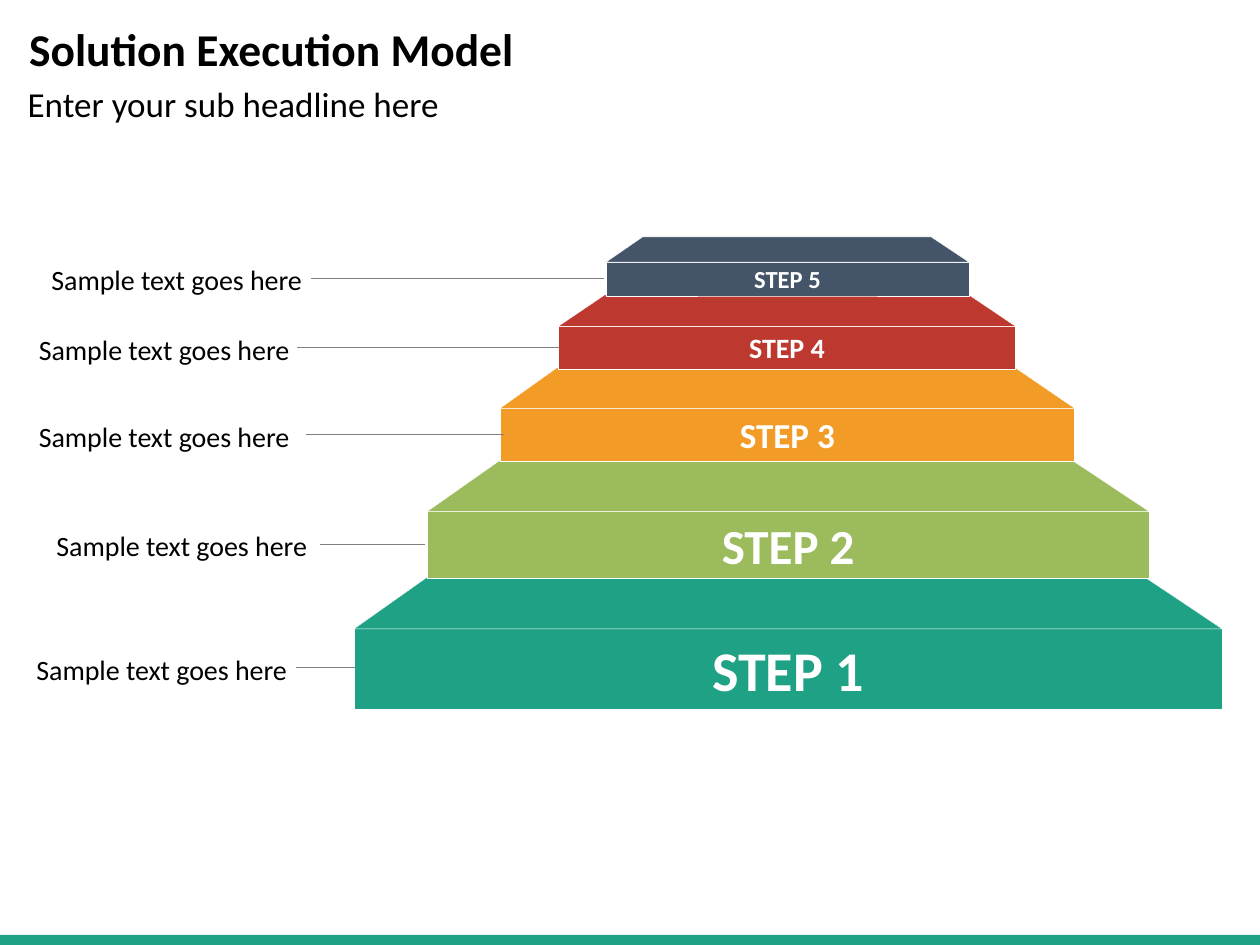
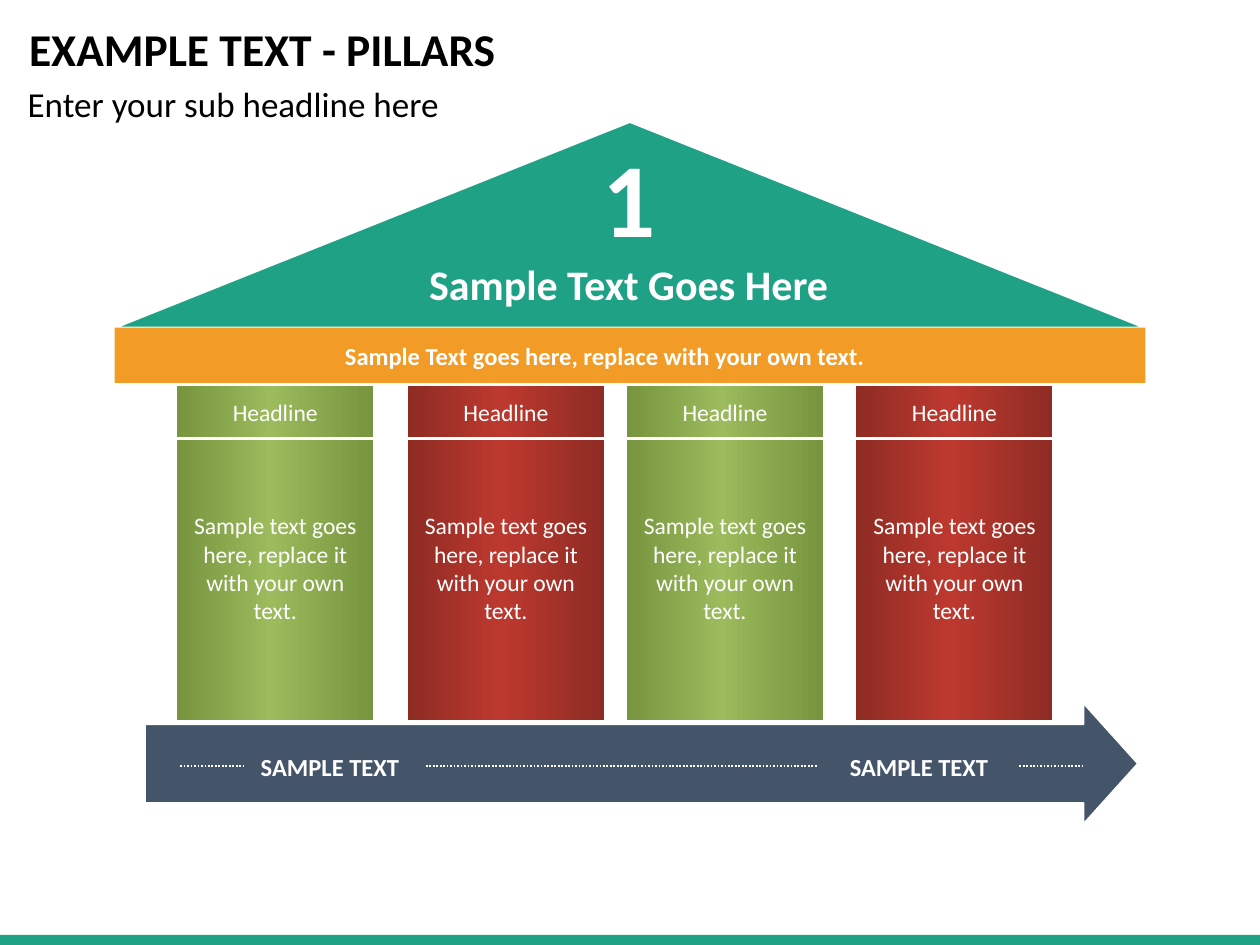
from dataclasses import dataclass

from lxml import etree
from pptx import Presentation
from pptx.dml.color import RGBColor
from pptx.enum.dml import MSO_LINE
from pptx.enum.shapes import MSO_CONNECTOR, MSO_SHAPE
from pptx.enum.text import MSO_ANCHOR, MSO_AUTO_SIZE, PP_ALIGN
from pptx.oxml import parse_xml
from pptx.oxml.ns import nsdecls, qn
from pptx.util import Pt

RECT, TRIANGLE, ARROW = MSO_SHAPE.RECTANGLE, MSO_SHAPE.ISOSCELES_TRIANGLE, MSO_SHAPE.RIGHT_ARROW
STRAIGHT, DOTTED = MSO_CONNECTOR.STRAIGHT, MSO_LINE.ROUND_DOT
LEFT, CENTER = PP_ALIGN.LEFT, PP_ALIGN.CENTER
TOP, MIDDLE = MSO_ANCHOR.TOP, MSO_ANCHOR.MIDDLE

FONT = "Calibri"
BLACK = RGBColor(0x00, 0x00, 0x00)
WHITE = RGBColor(0xFF, 0xFF, 0xFF)
GRAY = RGBColor(0x80, 0x80, 0x80)
TEAL = RGBColor(0x1E, 0xA1, 0x85)
GREEN = RGBColor(0x9B, 0xBB, 0x5C)
DARK_GREEN = RGBColor(0x77, 0x94, 0x3E)
ORANGE = RGBColor(0xF2, 0x9B, 0x26)
RED = RGBColor(0xBD, 0x39, 0x2F)
DARK_RED = RGBColor(0x8E, 0x2B, 0x23)
SLATE = RGBColor(0x44, 0x54, 0x69)

SLIDE_W, SLIDE_H = 720, 540
BAND_H = 5.8


@dataclass(frozen=True)
class Box:
    left: float
    top: float
    width: float
    height: float

    def emu(self) -> tuple:
        return Pt(self.left), Pt(self.top), Pt(self.width), Pt(self.height)


@dataclass(frozen=True)
class Step:
    face: Box
    cap_top: float
    cap_left: float
    cap_right: float
    color: RGBColor
    size: float
    label_left: float
    leader_left: float
    leader_right: float
    leader_y: float
    label_width: float = 197.3


@dataclass(frozen=True)
class Pillar:
    left: float
    color: RGBColor
    edge: RGBColor


STEPS = [
    Step(Box(202.3, 359.3, 496.1, 46.1), 324.7, 251.3, 646.6, TEAL, 32,
         13.7, 169.2, 203, 381.6, 164.2),
    Step(Box(244.1, 292.3, 412.6, 38.2), 263.5, 285.1, 613.4, GREEN, 28,
         25.2, 182.9, 242.6, 311),
    Step(Box(285.8, 233.3, 328.3, 30.2), 210.2, 318.2, 580.3, ORANGE, 20,
         15.1, 175, 288, 248.4),
    Step(Box(319, 186.5, 261.4, 24.5), 168.5, 345.6, 553.7, RED, 16,
         15.1, 169.9, 319.7, 198.7),
    Step(Box(346.3, 149.8, 207.4, 19.4), 135.4, 367.2, 532.1, SLATE, 14,
         22.3, 177.8, 344.9, 159.1),
]
LABEL_H, LABEL_RISE = 32.4, 18.2

PILLARS = [
    Pillar(100.8, GREEN, DARK_GREEN),
    Pillar(232.6, RED, DARK_RED),
    Pillar(357.8, GREEN, DARK_GREEN),
    Pillar(488.9, RED, DARK_RED),
]
PILLAR_TOP, PILLAR_W, PILLAR_H = 220.3, 113, 191.5
HEADLINE_Y = 250.6
ARROW_LABELS = [Box(134.6, 426.2, 108, 24.5), Box(462.2, 426.2, 126, 24.5)]
ARROW_DOTS = [(103, 139), (243.4, 466.6), (582.5, 618.5)]
DOTS_Y = 437.8


def write(tf, text: str, *, size: float, color: RGBColor = WHITE, bold: bool = False,
          align: PP_ALIGN = CENTER, spacing: float | None = None, before: float = 0):
    """Fill the first paragraph of the frame, or add one after it."""
    p = tf.paragraphs[0] if not tf.text else tf.add_paragraph()
    p.alignment, p.space_before = align, Pt(before)
    if spacing:
        p.line_spacing = spacing
    r = p.add_run()
    r.text = text
    r.font.name, r.font.size, r.font.bold = FONT, Pt(size), bold
    r.font.color.rgb = color
    return p


def style(sp, fill: RGBColor, line: RGBColor | None, width: float):
    sp.shadow.inherit = False
    sp.fill.solid()
    sp.fill.fore_color.rgb = fill
    if line is None:
        sp.line.fill.background()
    else:
        sp.line.color.rgb, sp.line.width = line, Pt(width)


def add_block(slide, kind: MSO_SHAPE, box: Box, fill: RGBColor,
              line: RGBColor | None = None, width: float = 1):
    sp = slide.shapes.add_shape(kind, *box.emu())
    style(sp, fill, line, width)
    return sp


def add_text_frame(slide, box: Box):
    tf = slide.shapes.add_textbox(*box.emu()).text_frame
    tf.word_wrap = True
    return tf


def add_rule(slide, x1: float, x2: float, y: float, color: RGBColor, width: float,
             dash: MSO_LINE | None = None):
    """Draw a horizontal line without a shadow."""
    line = slide.shapes.add_connector(STRAIGHT, Pt(x1), Pt(y), Pt(x2), Pt(y))
    line.line.color.rgb, line.line.width = color, Pt(width)
    if dash is not None:
        line.line.dash_style = dash
    etree.SubElement(line.element.spPr, qn("a:effectLst"))


def shade_across(sp, edge: RGBColor, middle: RGBColor):
    """Give the shape a left-to-right gradient, dark at both edges."""
    stops = "".join(
        f'<a:gs pos="{pos}"><a:srgbClr val="{color}"/></a:gs>'
        for pos, color in ((0, edge), (48000, middle), (100000, edge)))
    gradient = parse_xml(f'<a:gradFill {nsdecls("a")} rotWithShape="1"><a:gsLst>{stops}'
                         '</a:gsLst><a:lin ang="0" scaled="0"/></a:gradFill>')
    spPr = sp.element.spPr
    spPr.replace(spPr.find(qn("a:solidFill")), gradient)


def place_placeholder(ph, box: Box, anchor: MSO_ANCHOR):
    ph.left, ph.top, ph.width, ph.height = box.emu()
    tf = ph.text_frame
    tf.auto_size, tf.word_wrap, tf.vertical_anchor = MSO_AUTO_SIZE.NONE, True, anchor
    return tf


def add_page(prs, title: str):
    """Add a slide with the bottom band, title and sub headline."""
    slide = prs.slides.add_slide(prs.slide_layouts[1])
    add_block(slide, RECT, Box(0, SLIDE_H - BAND_H, SLIDE_W, BAND_H), TEAL)
    tf = place_placeholder(slide.shapes.title, Box(9.4, 12.2, 620.6, 34.6), MIDDLE)
    write(tf, title, size=26, color=BLACK, bold=True, align=LEFT, spacing=0.9)
    tf = place_placeholder(slide.placeholders[1], Box(8.6, 46.1, 397.4, 46.1), TOP)
    p = write(tf, "Enter your sub headline here", size=20, color=BLACK, align=LEFT,
              spacing=0.9, before=10)
    pPr = p._p.get_or_add_pPr()
    pPr.set("marL", "0")
    pPr.set("indent", "0")
    etree.SubElement(pPr, qn("a:buNone"))
    return slide


def add_step(slide, number: int, step: Step):
    face = step.face
    sp = add_block(slide, RECT, face, step.color, WHITE, 0.25)
    sp.text_frame.vertical_anchor = MIDDLE
    write(sp.text_frame, f"STEP {number}", size=step.size, bold=True)
    cap = slide.shapes.build_freeform(Pt(step.cap_left), Pt(step.cap_top))
    cap.add_line_segments([
        (Pt(step.cap_right), Pt(step.cap_top)),
        (Pt(face.left + face.width), Pt(face.top)),
        (Pt(face.left), Pt(face.top)),
    ])
    style(cap.convert_to_shape(), step.color, WHITE, 0.25)


def add_step_label(slide, step: Step):
    box = Box(step.label_left, step.leader_y - LABEL_RISE, step.label_width, LABEL_H)
    write(add_text_frame(slide, box), "Sample text goes here", size=16, color=BLACK,
          align=LEFT, spacing=1.3)
    add_rule(slide, step.leader_right, step.leader_left, step.leader_y, GRAY, 0.5)


def add_pillar(slide, pillar: Pillar):
    box = Box(pillar.left, PILLAR_TOP, PILLAR_W, PILLAR_H)
    sp = add_block(slide, RECT, box, pillar.color, WHITE)
    shade_across(sp, pillar.edge, pillar.color)
    tf = sp.text_frame
    tf.word_wrap, tf.vertical_anchor = True, TOP
    tf.margin_left = tf.margin_right = tf.margin_top = Pt(7.2)
    write(tf, "Headline", size=13.5)
    write(tf, "Sample text goes here, replace it with your own text.", size=13.5, before=48.5)


def build_steps(prs):
    slide = add_page(prs, "Solution Execution Model")
    for number, step in enumerate(STEPS, 1):
        add_step(slide, number, step)
    for step in STEPS:
        add_step_label(slide, step)


def build_pillars(prs):
    slide = add_page(prs, "EXAMPLE TEXT - PILLARS")
    add_block(slide, TRIANGLE, Box(66.2, 69.8, 587.5, 117.4), TEAL, WHITE)
    add_block(slide, RECT, Box(65.5, 187.2, 589, 31.7), ORANGE)
    tf = add_text_frame(slide, Box(179.3, 72, 360, 108.7))
    write(tf, "1", size=60, bold=True)
    write(tf, "Sample Text Goes Here", size=24, bold=True)
    write(add_text_frame(slide, Box(151.2, 191.5, 388.8, 24.5)),
          "Sample Text goes here, replace with your own text.", size=14, bold=True)
    for pillar in PILLARS:
        add_pillar(slide, pillar)
    add_rule(slide, PILLARS[0].left, PILLARS[-1].left + PILLAR_W, HEADLINE_Y, WHITE, 2)
    arrow = add_block(slide, ARROW, Box(82.8, 401.8, 567.4, 69.1), SLATE, WHITE)
    arrow.adjustments[0], arrow.adjustments[1] = 0.65, 0.45
    for box in ARROW_LABELS:
        write(add_text_frame(slide, box), "SAMPLE TEXT", size=14, bold=True)
    for x1, x2 in ARROW_DOTS:
        add_rule(slide, x1, x2, DOTS_Y, WHITE, 1, DOTTED)


def main():
    prs = Presentation()
    prs.slide_width, prs.slide_height = Pt(SLIDE_W), Pt(SLIDE_H)
    build_steps(prs)
    build_pillars(prs)
    prs.save("out.pptx")


if __name__ == "__main__":
    main()
